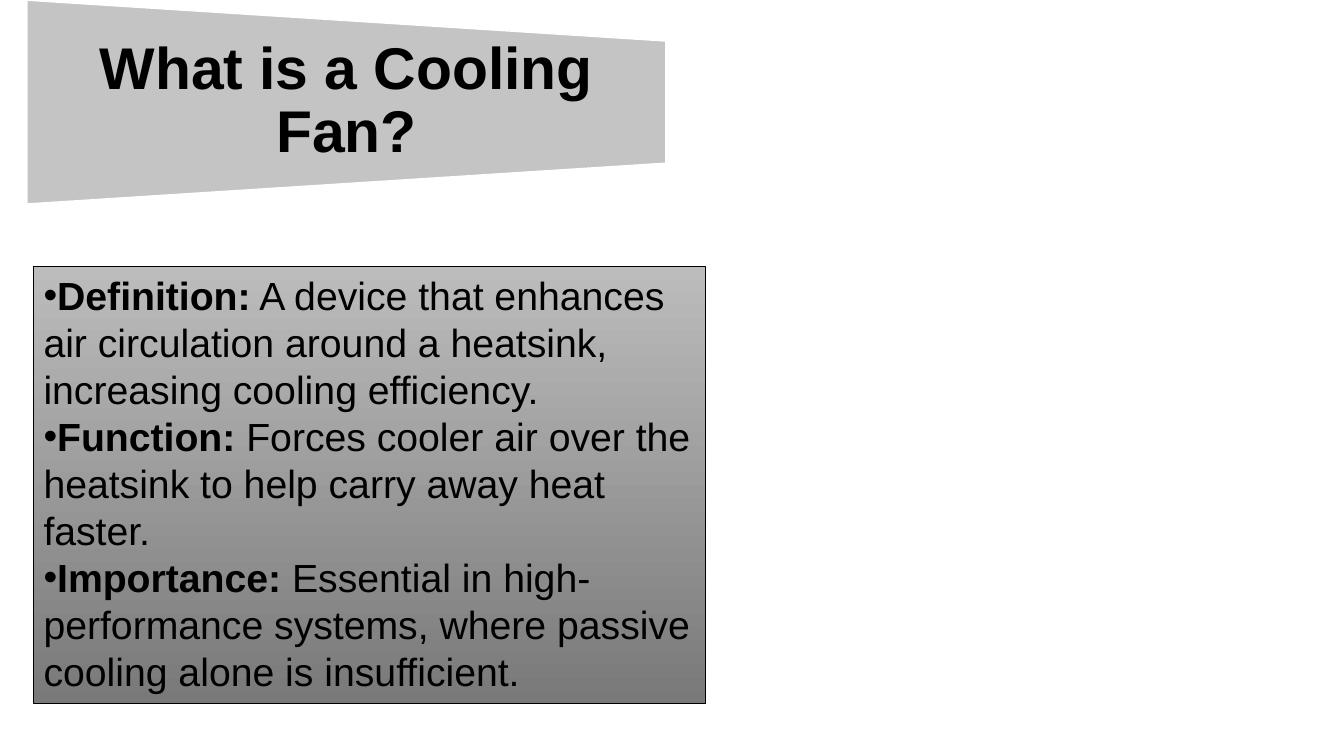
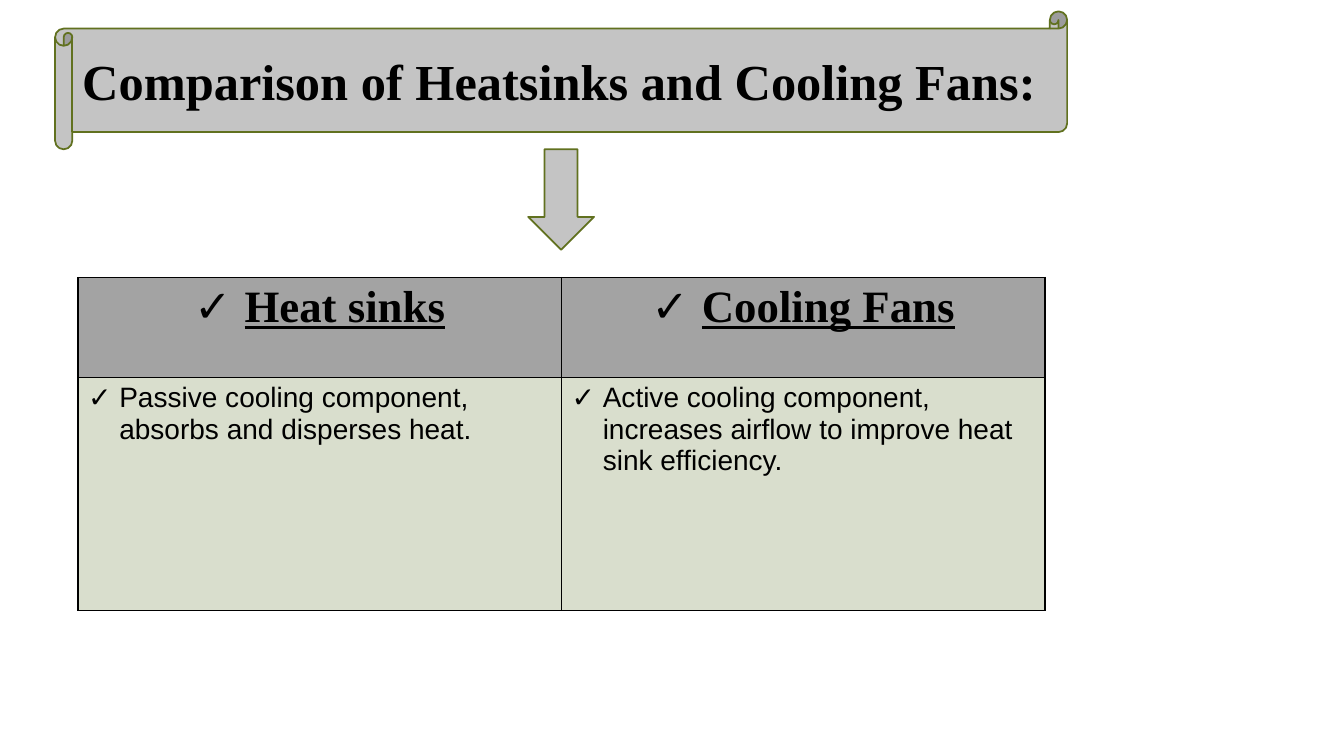
import dataclasses

import lxml.etree
import pptx
import pptx.dml.color
import pptx.enum.shapes
import pptx.enum.text
import pptx.oxml.ns
import pptx.util

RGBColor = pptx.dml.color.RGBColor
SHAPE = pptx.enum.shapes.MSO_SHAPE
ANCHOR = pptx.enum.text.MSO_ANCHOR
ALIGN = pptx.enum.text.PP_ALIGN

BLACK = RGBColor(0x00, 0x00, 0x00)
WHITE = RGBColor(0xFF, 0xFF, 0xFF)
SILVER = RGBColor(0xC4, 0xC4, 0xC4)
HEADER_GRAY = RGBColor(0xA3, 0xA3, 0xA3)
GRADIENT_TOP = RGBColor(0xBC, 0xBC, 0xBC)
GRADIENT_BOTTOM = RGBColor(0x79, 0x79, 0x79)
OLIVE = RGBColor(0x61, 0x71, 0x1F)
SAGE = RGBColor(0xD9, 0xDE, 0xCD)

SANS = "Arial"
SERIF = "Times New Roman"
SLIDE_WIDTH = pptx.util.Inches(13.33)
SLIDE_HEIGHT = pptx.util.Inches(7.5)

DEFINITIONS = [
    ("Definition:", " A device that enhances air circulation around a heatsink, "
                    "increasing cooling efficiency."),
    ("Function:", " Forces cooler air over the heatsink to help carry away heat faster."),
    ("Importance:", " Essential in high-performance systems, where passive cooling "
                    "alone is insufficient."),
]
COMPARISON = [
    ("Heat sinks", "Passive cooling component, absorbs and disperses heat."),
    ("Cooling Fans", "Active cooling component, increases airflow to improve heat "
                     "sink efficiency."),
]


@dataclasses.dataclass
class Box:
    left: int
    top: int
    width: int
    height: int

    def inner(self, left, top, width, height):
        """Return an inner box given in percent of this one."""
        return Box(self.left + round(self.width * left / 100),
                   self.top + round(self.height * top / 100),
                   round(self.width * width / 100),
                   round(self.height * height / 100))

    def turned(self):
        """Return the frame that covers this box after a quarter turn."""
        shift = (self.width - self.height) // 2
        return Box(self.left + shift, self.top - shift, self.height, self.width)

    def frame(self):
        return self.left, self.top, self.width, self.height


PAGE = Box(0, 0, SLIDE_WIDTH, SLIDE_HEIGHT)


def add_child(parent, tag, **attributes):
    return lxml.etree.SubElement(parent, pptx.oxml.ns.qn(tag), attributes)


def add_text(para, text, size, font, bold=False, underline=False):
    span = para.add_run()
    span.text = text
    span.font.size = pptx.util.Pt(size)
    span.font.name = font
    span.font.bold = bold
    span.font.underline = underline
    span.font.color.rgb = BLACK


def set_bullet(para, mark, indent=0):
    properties = para._p.get_or_add_pPr()
    hanging = pptx.util.Inches(indent)
    properties.set("marL", str(hanging))
    properties.set("indent", str(-hanging))
    add_child(properties, "a:buFont", typeface=SANS)
    add_child(properties, "a:buChar", char=mark)


def add_panel(slide, kind, box, line_color, line_width=1.25):
    panel = slide.shapes.add_shape(kind, *box.frame())
    panel.shadow.inherit = False
    panel.fill.solid()
    panel.fill.fore_color.rgb = SILVER
    panel.line.color.rgb = line_color
    panel.line.width = pptx.util.Pt(line_width)
    panel.text_frame.word_wrap = True
    return panel


def add_tapered_title(slide, box, text):
    band = add_panel(slide, SHAPE.FLOWCHART_MANUAL_OPERATION, box.turned(), WHITE)
    band.rotation = 270
    label = slide.shapes.add_textbox(*box.inner(0, 20, 100, 60).frame())
    frame = label.text_frame
    frame.word_wrap = True
    frame.vertical_anchor = ANCHOR.MIDDLE
    frame.margin_left = frame.margin_right = pptx.util.Inches(0.29)
    frame.margin_top = frame.margin_bottom = 0
    para = frame.paragraphs[0]
    para.alignment = ALIGN.CENTER
    para.line_spacing = 0.9
    add_text(para, text, 42, SANS, bold=True)


def add_definitions(slide, box, entries):
    panel = add_panel(slide, SHAPE.RECTANGLE, box, BLACK, 0.75)
    panel.fill.gradient()
    panel.fill.gradient_angle = 270
    for stop, color in zip(panel.fill.gradient_stops, (GRADIENT_TOP, GRADIENT_BOTTOM)):
        stop.color.rgb = color
    frame = panel.text_frame
    frame.vertical_anchor = ANCHOR.TOP
    frame.auto_size = pptx.enum.text.MSO_AUTO_SIZE.SHAPE_TO_FIT_TEXT
    for index, (term, meaning) in enumerate(entries):
        para = frame.add_paragraph() if index else frame.paragraphs[0]
        para.alignment = ALIGN.LEFT
        set_bullet(para, "•")
        add_text(para, term, 28, SANS, bold=True)
        add_text(para, meaning, 28, SANS)


def add_scroll_title(slide, box, text):
    scroll = add_panel(slide, SHAPE.HORIZONTAL_SCROLL, box, OLIVE)
    scroll.text_frame.vertical_anchor = ANCHOR.MIDDLE
    para = scroll.text_frame.paragraphs[0]
    para.alignment = ALIGN.LEFT
    add_text(para, text, 36, SERIF, bold=True)


def style_cell(cell, color):
    properties = cell._tc.get_or_add_tcPr()
    for side in ("a:lnL", "a:lnR", "a:lnT", "a:lnB"):
        border = add_child(properties, side, w=str(pptx.util.Pt(1)))
        fill = add_child(border, "a:solidFill")
        add_child(fill, "a:srgbClr", val=str(BLACK))
    cell.fill.solid()
    cell.fill.fore_color.rgb = color


def add_comparison(slide, box, entries):
    table = slide.shapes.add_table(2, len(entries), *box.frame()).table
    table.rows[0].height = round(box.height * 0.3)
    table.rows[1].height = box.height - table.rows[0].height
    for index, (heading, detail) in enumerate(entries):
        table.columns[index].width = box.width // len(entries)
        header, body = table.cell(0, index), table.cell(1, index)
        style_cell(header, HEADER_GRAY)
        style_cell(body, SAGE)
        para = header.text_frame.paragraphs[0]
        para.alignment = ALIGN.CENTER
        set_bullet(para, "✓", 0.5)
        add_text(para, heading, 32, SERIF, bold=True, underline=True)
        para = body.text_frame.paragraphs[0]
        set_bullet(para, "✓", 0.31)
        add_text(para, detail, 20, SANS)


def build_definition_slide(slide, box):
    add_tapered_title(slide, box.inner(2, 0, 47.55, 27), "What is a Cooling Fan?")
    add_definitions(slide, box.inner(2.5, 35.2, 50, 57.9), DEFINITIONS)


def build_comparison_slide(slide, box):
    title_box = box.inner(4.1, 1.5, 75.3, 18.25)
    add_scroll_title(slide, title_box, "Comparison of Heatsinks and Cooling Fans:")
    add_comparison(slide, box.inner(5.8, 36.7, 71.95, 44.1), COMPARISON)
    arrow_box = box.inner(0, 0, 4.9, 13.3)
    arrow_box.left = title_box.left + (title_box.width - arrow_box.width) // 2
    arrow_box.top = title_box.top + title_box.height
    add_panel(slide, SHAPE.DOWN_ARROW, arrow_box, OLIVE)


def main():
    deck = pptx.Presentation()
    deck.slide_width = SLIDE_WIDTH
    deck.slide_height = SLIDE_HEIGHT
    for build in (build_definition_slide, build_comparison_slide):
        build(deck.slides.add_slide(deck.slide_layouts[6]), PAGE)
    deck.save("out.pptx")


if __name__ == "__main__":
    main()
